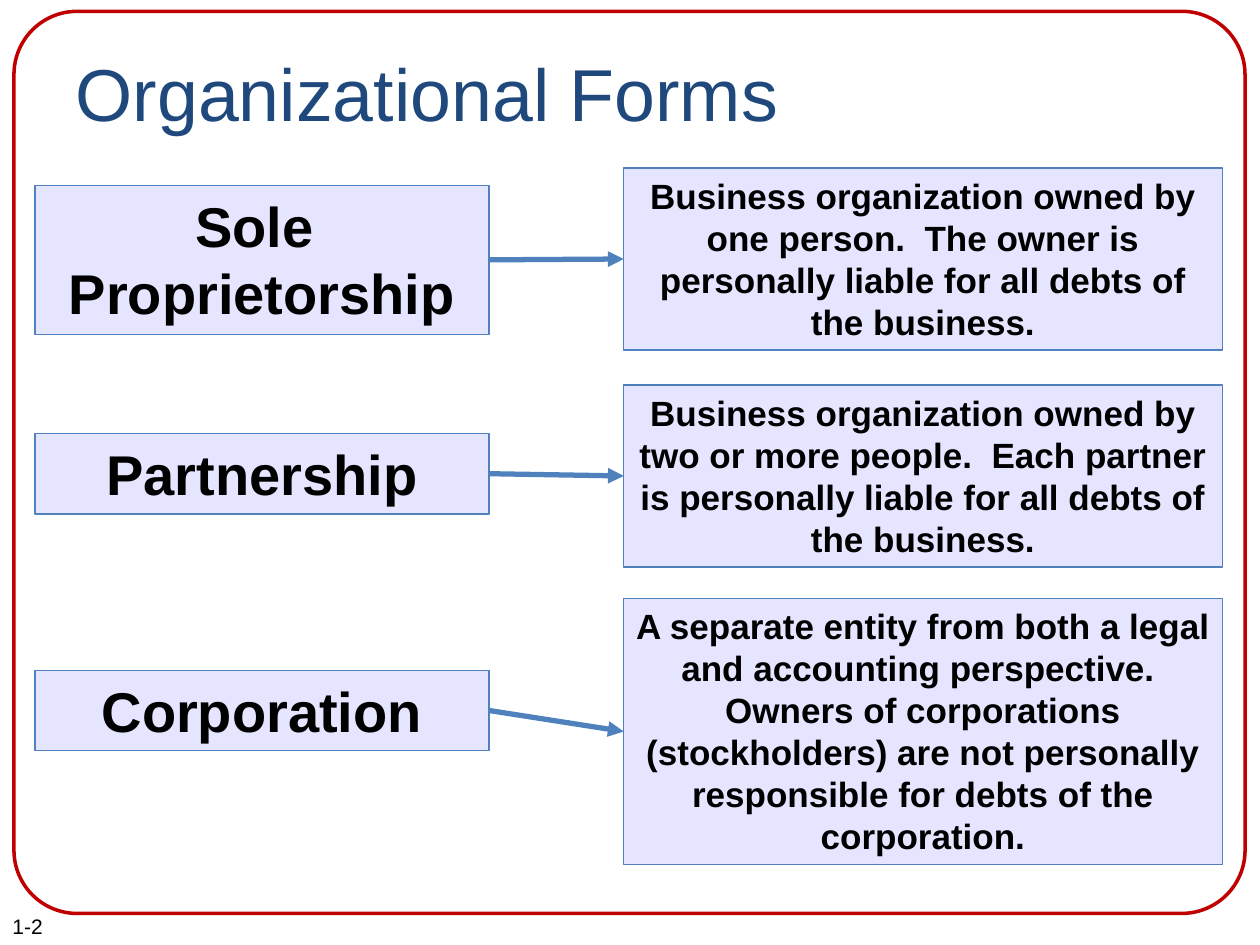
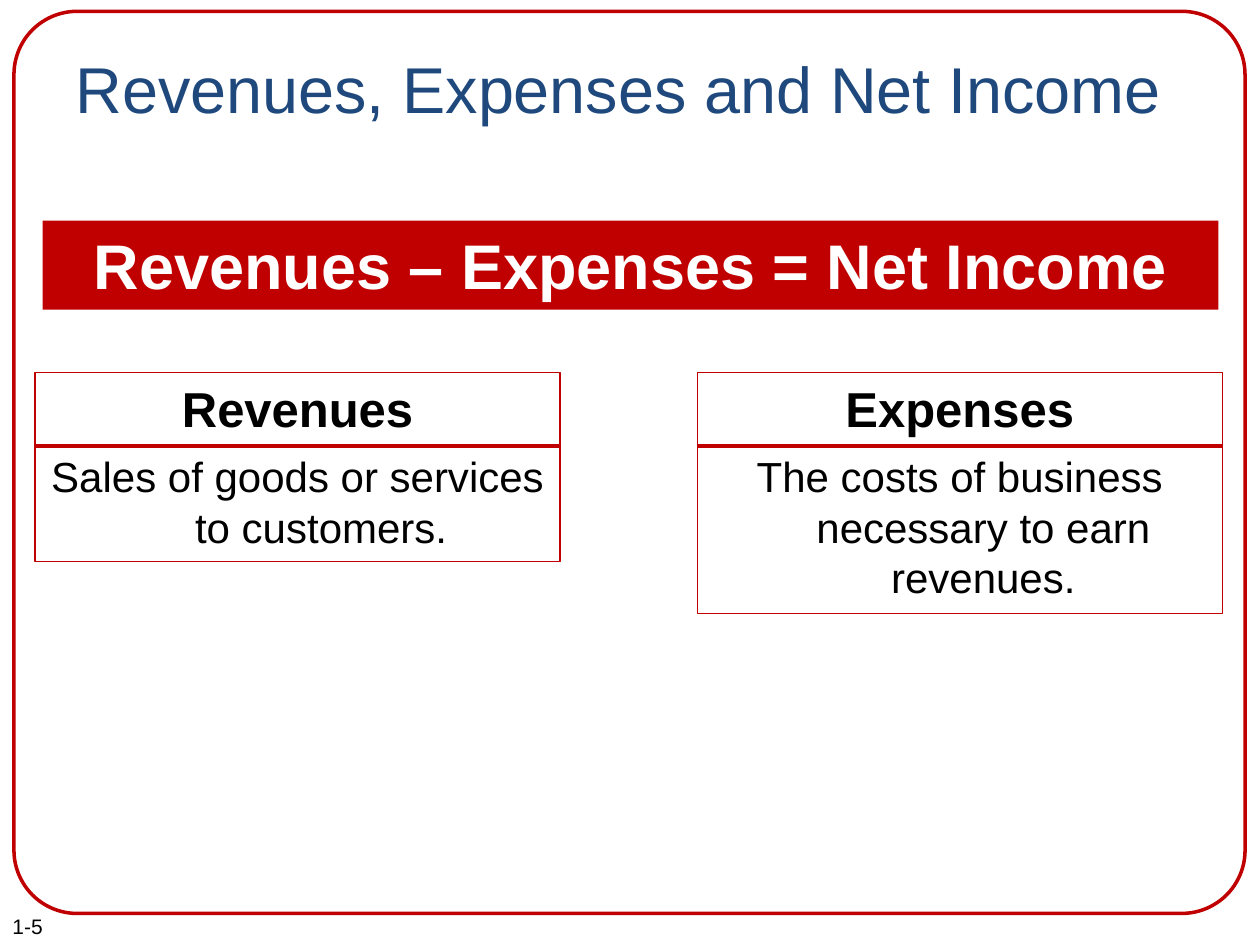
import pptx
import pptx.dml.color
import pptx.enum.shapes
import pptx.enum.text
import pptx.oxml
import pptx.util

Pt = pptx.util.Pt
SHAPE = pptx.enum.shapes.MSO_SHAPE
STRAIGHT = pptx.enum.shapes.MSO_CONNECTOR.STRAIGHT
ALIGN = pptx.enum.text.PP_ALIGN
ANCHOR = pptx.enum.text.MSO_ANCHOR
FIT = pptx.enum.text.MSO_AUTO_SIZE

FONT = "Arial"
RED, BLUE, NAVY = "C00000", "4F81BD", "1F497D"
LAVENDER, WHITE, BLACK = "E5E5FF", "FFFFFF", "000000"
LEFT, RIGHT = 20, 698.4

FORMS = [
    (("Sole ", "Proprietorship"), 106, 85, 96, 104,
     "Business organization owned by one person.  The owner is personally "
     "liable for all debts of the business."),
    (("Partnership",), 247.7, 46, 220, 104,
     "Business organization owned by two or more people.  Each partner is "
     "personally liable for all debts of the business."),
    (("Corporation",), 383, 46, 342, 152,
     "A separate entity from both a legal and accounting perspective.  Owners "
     "of corporations (stockholders) are not personally responsible for debts "
     "of the corporation."),
]
DEFINITIONS = [
    ("Revenues", "Sales of goods or services to customers.", 108),
    ("Expenses", "The costs of business necessary to earn revenues.", 137.5),
]


def color(value):
    """Turn a hex string into a colour."""
    return pptx.dml.color.RGBColor.from_string(value)


def write(para, lines, size, ink, bold=False):
    """Add one run per line, with line breaks between them."""
    for index, line in enumerate(lines):
        if index:
            para.add_line_break()
        span = para.add_run()
        span.text = line
        span.font.name = FONT
        span.font.size = Pt(size)
        span.font.bold = bold
        span.font.color.rgb = color(ink)


def add_box(page, left, top, width, height, fill, line=None, kind=SHAPE.RECTANGLE):
    """Add a flat preset shape whose text starts at the top."""
    box = page.shapes.add_shape(kind, Pt(left), Pt(top), Pt(width), Pt(height))
    box.shadow.inherit = False
    if fill:
        box.fill.solid()
        box.fill.fore_color.rgb = color(fill)
    else:
        box.fill.background()
    if line:
        box.line.color.rgb = color(line)
        box.line.width = Pt(0.75)
    else:
        box.line.fill.background()
    frame = box.text_frame
    frame.word_wrap = True
    frame.vertical_anchor = ANCHOR.TOP
    frame.paragraphs[0].alignment = ALIGN.CENTER
    return box


def add_label(page, left, top, width, height, lines, size, ink, fill, line=None):
    """Add a box holding one bold centred paragraph."""
    box = add_box(page, left, top, width, height, fill, line)
    box.text_frame.auto_size = FIT.SHAPE_TO_FIT_TEXT
    write(box.text_frame.paragraphs[0], lines, size, ink, bold=True)
    return box


def add_line(page, start, end, ink, weight):
    """Add a straight connector without a shadow."""
    line = page.shapes.add_connector(STRAIGHT, *(Pt(value) for value in start + end))
    line.line.color.rgb = color(ink)
    line.line.width = Pt(weight)
    pptx.oxml.ns
    properties = line.element.spPr
    effects = properties.makeelement(pptx.oxml.ns.qn("a:effectLst"), {})
    properties.append(effects)
    return line


def add_arrow(page, source, target):
    """Join the right side of one box to the left side of another."""
    arrow = add_line(page, (0, 0), (0, 0), BLUE, 3)
    arrow.begin_connect(source, 3)
    arrow.end_connect(target, 1)
    stroke = arrow.line._get_or_add_ln()
    head = stroke.makeelement(pptx.oxml.ns.qn("a:tailEnd"), {"type": "triangle"})
    stroke.append(head)


def add_page(deck, title, size, number):
    """Add a slide with the shared frame, title and page number."""
    page = deck.slides.add_slide(deck.slide_layouts[5])
    border = add_box(page, 8, 6.5, 703.5, 515.5, None, RED, SHAPE.ROUNDED_RECTANGLE)
    border.adjustments[0] = 0.07
    border.line.width = Pt(2)
    heading = page.shapes.title
    heading.left, heading.top, heading.width, heading.height = map(
        Pt, (36, 21.6, 648, 90))
    frame = heading.text_frame
    frame.auto_size = FIT.NONE
    frame.vertical_anchor = ANCHOR.TOP
    frame.margin_top = Pt(6)
    frame.paragraphs[0].alignment = ALIGN.LEFT
    write(frame.paragraphs[0], [title], size, NAVY)
    footer = page.shapes.add_textbox(Pt(0), Pt(518.4), Pt(48), Pt(21.6))
    footer.text_frame.word_wrap = True
    write(footer.text_frame.paragraphs[0], [number], 12, BLACK)
    return page


def add_form(page, name, name_top, name_height, top, height, meaning):
    """Add a form's name, its explanation and the arrow between them."""
    width = 342
    source = add_label(page, LEFT, name_top, 259.4, name_height, name, 32,
                       BLACK, LAVENDER, BLUE)
    target = add_label(page, RIGHT - width, top, width, height, [meaning], 20,
                       BLACK, LAVENDER, BLUE)
    add_arrow(page, source, target)


def add_definition(page, left, top, width, height, term, meaning):
    """Add a box with a term above a rule and its meaning below."""
    box = add_box(page, left, top, width, height, WHITE, RED)
    frame = box.text_frame
    frame.auto_size = FIT.SHAPE_TO_FIT_TEXT
    body = frame.add_paragraph()
    body.alignment = ALIGN.CENTER
    body.space_before = Pt(7.5)
    for para in frame.paragraphs:
        properties = para._p.get_or_add_pPr()
        properties.set("marL", str(Pt(27)))
        properties.set("indent", str(Pt(-27)))
    write(frame.paragraphs[0], [term], 28, BLACK, bold=True)
    write(body, [meaning], 24, BLACK)
    rule = top + 42
    add_line(page, (left, rule), (left + width, rule), RED, 2.25)


def build_forms(deck):
    """Build the slide on organizational forms."""
    page = add_page(deck, "Organizational Forms", 42, "1-2")
    for form in FORMS:
        add_form(page, *form)


def build_income(deck):
    """Build the slide on revenues, expenses and net income."""
    page = add_page(deck, "Revenues, Expenses and Net Income", 37, "1-5")
    add_label(page, 24.3, 126, 672, 51, ["Revenues – Expenses = Net Income"], 36,
              WHITE, RED)
    width = 300
    for left, (term, meaning, height) in zip((LEFT, RIGHT - width), DEFINITIONS):
        add_definition(page, left, 213, width, height, term, meaning)


def main():
    """Build and save the deck."""
    deck = pptx.Presentation()
    deck.slide_width, deck.slide_height = Pt(720), Pt(540)
    build_forms(deck)
    build_income(deck)
    deck.save("out.pptx")


if __name__ == "__main__":
    main()
